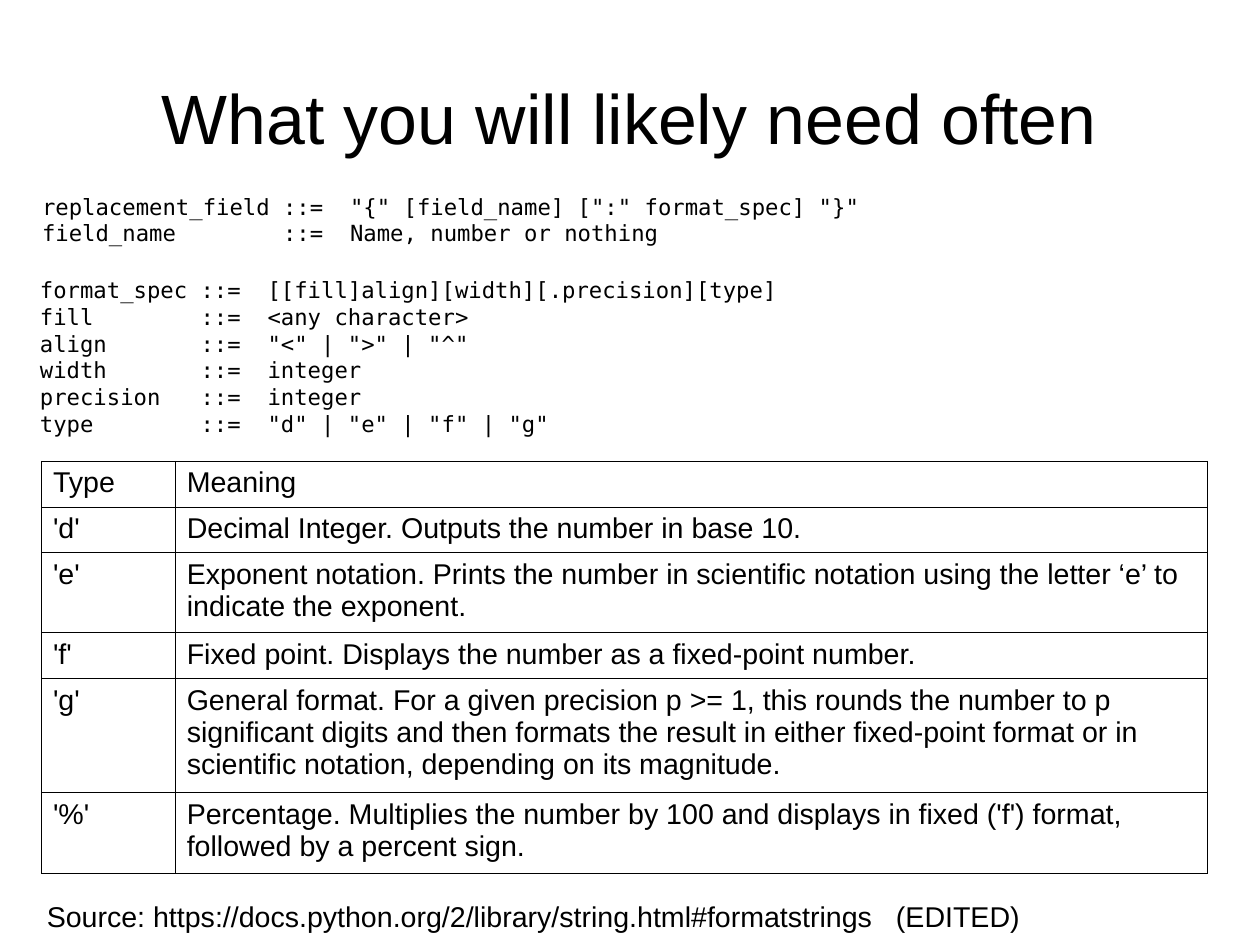
from lxml.etree import SubElement
from pptx import Presentation
from pptx.dml.color import RGBColor
from pptx.enum.text import MSO_ANCHOR, PP_ALIGN
from pptx.oxml import parse_xml
from pptx.oxml.ns import nsdecls, qn
from pptx.util import Cm, Pt

SLIDE_WIDTH = Cm(28)
SLIDE_HEIGHT = Cm(21)
BLACK = "000000"
SANS, MONO = "Arial", "DejaVu Sans Mono"

FIELD_GRAMMAR = [
    ("replacement_field", '"{" [field_name] [":" format_spec] "}"'),
    ("field_name", "Name, number or nothing"),
]
FORMAT_GRAMMAR = [
    ("format_spec", "[[fill]align][width][.precision][type]"),
    ("fill", "<any character>"),
    ("align", '"<" | ">" | "^"'),
    ("width", "integer"),
    ("precision", "integer"),
    ("type", '"d" | "e" | "f" | "g"'),
]
# Type, meaning, number of text lines in the row
TYPE_ROWS = [
    ("Type", "Meaning", 1),
    ("'d'", "Decimal Integer. Outputs the number in base 10.", 1),
    ("'e'", "Exponent notation. Prints the number in scientific notation "
            "using the letter ‘e’ to indicate the exponent.", 2),
    ("'f'", "Fixed point. Displays the number as a fixed-point number.", 1),
    ("'g'", "General format. For a given precision p >= 1, this rounds the number "
            "to p significant digits and then formats the result in either "
            "fixed-point format or in scientific notation, depending on its "
            "magnitude.", 3),
    ("'%'", "Percentage. Multiplies the number by 100 and displays in fixed "
            "('f') format, followed by a percent sign.", 2),
]


def across(percent):
    """Length as a percentage of the slide width."""
    return round(SLIDE_WIDTH * percent / 100)


def down(percent):
    """Length as a percentage of the slide height."""
    return round(SLIDE_HEIGHT * percent / 100)


def color(hex_string):
    return RGBColor.from_string(hex_string)


def write_text(frame, text, size=18, font=SANS, fill=BLACK,
               align=PP_ALIGN.LEFT, tab=None):
    """Write one paragraph per line of text, with an optional tab stop."""
    frame.word_wrap = True
    for index, line in enumerate(text.split("\n")):
        paragraph = frame.add_paragraph() if index else frame.paragraphs[0]
        paragraph.alignment = align
        if tab is not None:
            properties = paragraph._p.get_or_add_pPr()
            tab_list = SubElement(properties, qn("a:tabLst"))
            SubElement(tab_list, qn("a:tab"), pos=str(tab), algn="l")
        run = paragraph.add_run()
        run.text = line
        run.font.size = Pt(size)
        run.font.name = font
        run.font.color.rgb = color(fill)


def add_text(slide, left, top, width, height, text, **text_format):
    shape = slide.shapes.add_textbox(
        across(left), down(top), across(width), down(height))
    write_text(shape.text_frame, text, **text_format)
    return shape


def add_title(slide, text):
    frame = add_text(slide, 5, 4, 90, 16.69, text,
                     size=44, align=PP_ALIGN.CENTER).text_frame
    frame.vertical_anchor = MSO_ANCHOR.MIDDLE
    frame.margin_left = frame.margin_right = 0
    frame.margin_top = frame.margin_bottom = 0


def add_grammar(slide, left, top, width, height, rules):
    """Show grammar rules with their ::= signs in one column."""
    name_width = max(len(name) for name, _ in rules)
    lines = [f"{name.ljust(name_width)} ::=  {meaning}" for name, meaning in rules]
    add_text(slide, left, top, width, height, "\n".join(lines), size=14, font=MONO)


def add_borders(cell, line_width=0.57):
    properties = cell._tc.get_or_add_tcPr()
    for index, side in enumerate(("lnL", "lnR", "lnT", "lnB")):
        properties.insert(index, parse_xml(
            f'<a:{side} {nsdecls("a")} w="{Pt(line_width)}"><a:solidFill>'
            f'<a:srgbClr val="{BLACK}"/></a:solidFill></a:{side}>'))


def add_type_table(slide, left, top, column_widths, rows):
    heights = [down(1.2 + 3.63 * lines) for *_, lines in rows]
    table = slide.shapes.add_table(
        len(rows), len(column_widths), across(left), down(top),
        across(sum(column_widths)), sum(heights)).table
    table.first_row = table.horz_banding = False
    for column, width in zip(table.columns, column_widths):
        column.width = across(width)
    for row, height, (*texts, _) in zip(table.rows, heights, rows):
        row.height = height
        for cell, text in zip(row.cells, texts):
            cell.fill.background()
            add_borders(cell)
            write_text(cell.text_frame, text)


def main():
    presentation = Presentation()
    presentation.slide_width = SLIDE_WIDTH
    presentation.slide_height = SLIDE_HEIGHT
    slide = presentation.slides.add_slide(presentation.slide_layouts[6])
    add_title(slide, "What you will likely need often")
    add_grammar(slide, 2.45, 19.83, 71.32, 6.65, FIELD_GRAMMAR)
    add_grammar(slide, 2.28, 28.66, 70.42, 17.41, FORMAT_GRAMMAR)
    add_type_table(slide, 3.3, 48.8, (10.62, 81.92), TYPE_ROWS)
    add_text(slide, 2.82, 94.56, 92.92, 4.59,
             "Source: https://docs.python.org/2/library/string.html#formatstrings"
             "\t(EDITED)", tab=across(67.4))
    presentation.save("out.pptx")


if __name__ == "__main__":
    main()
